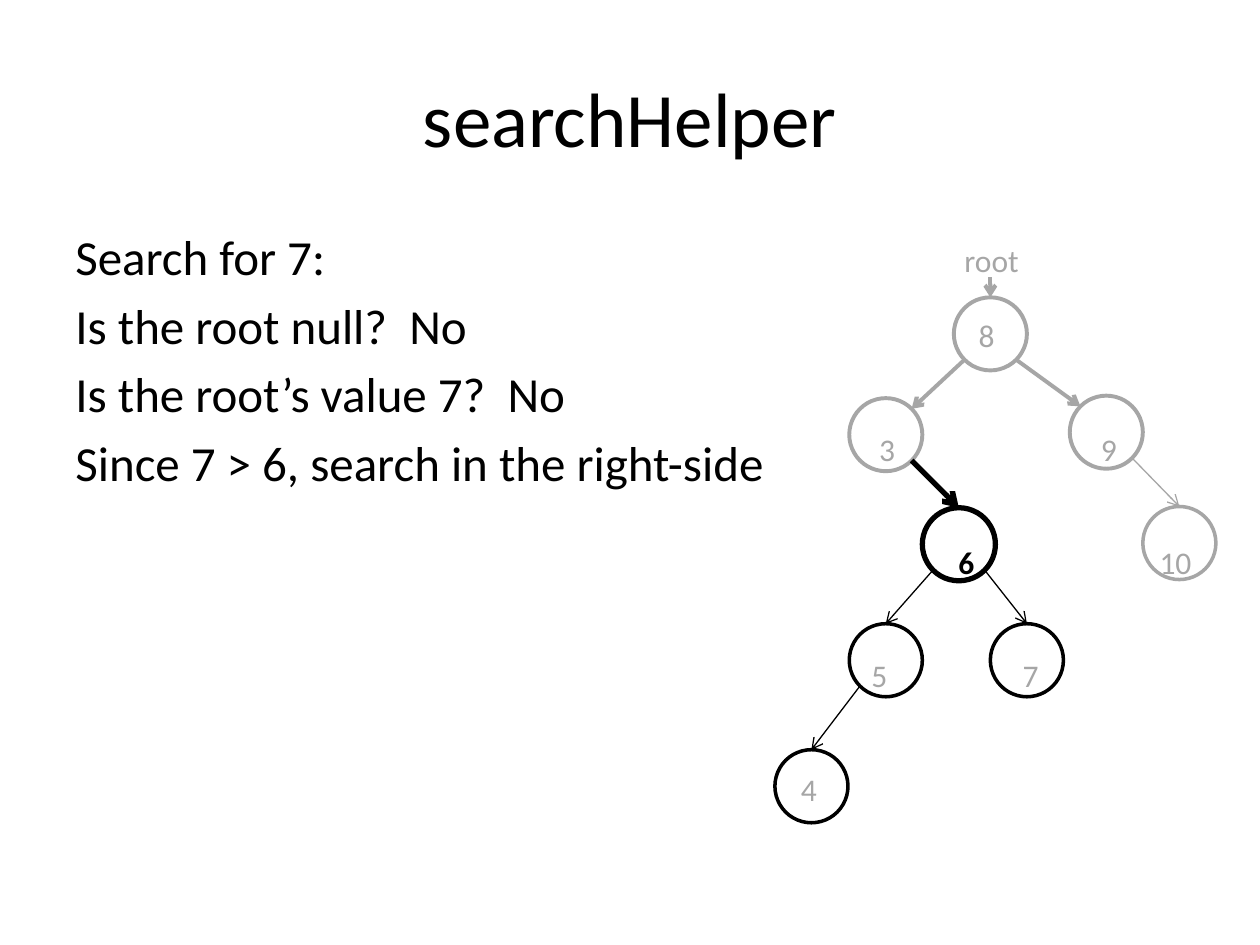
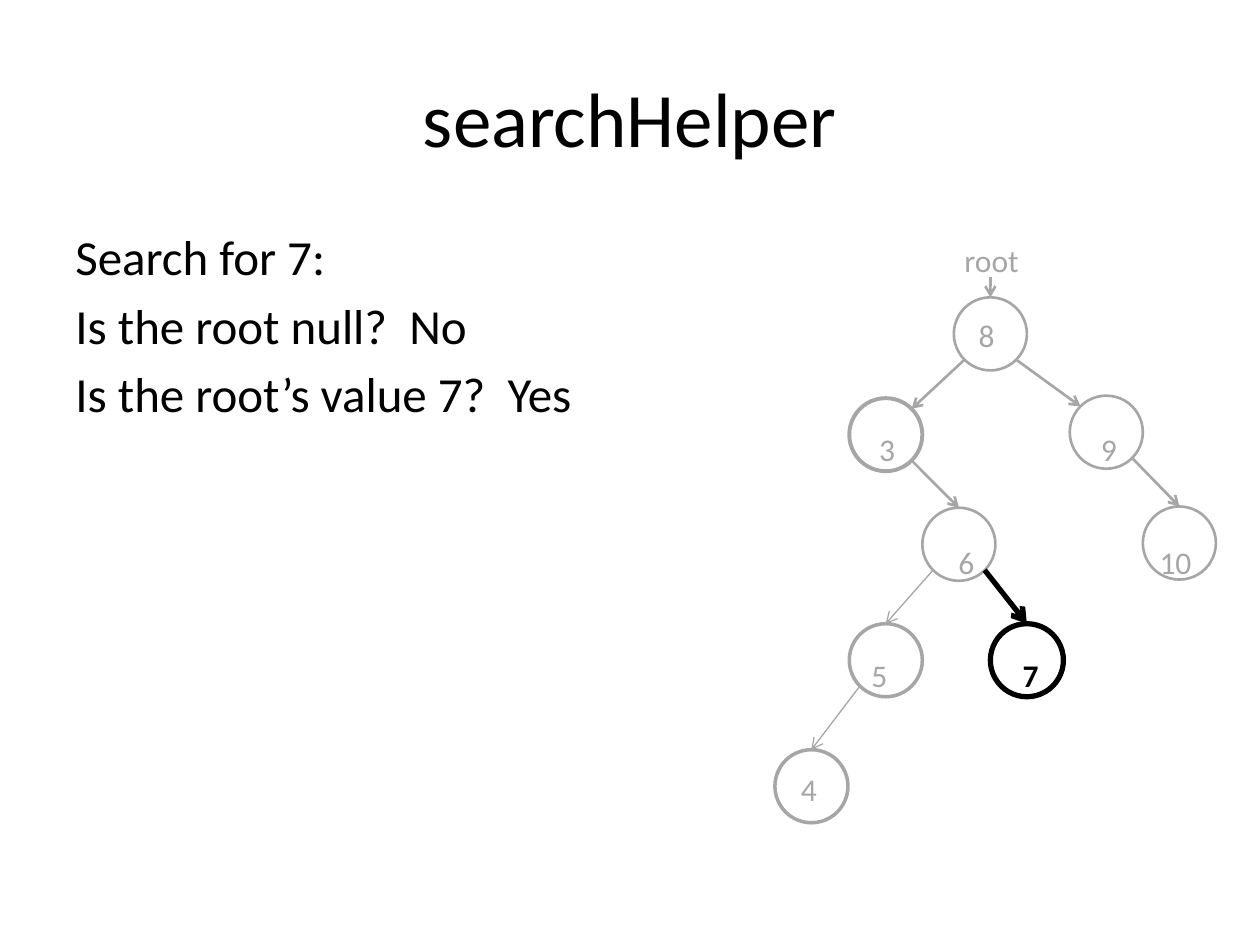
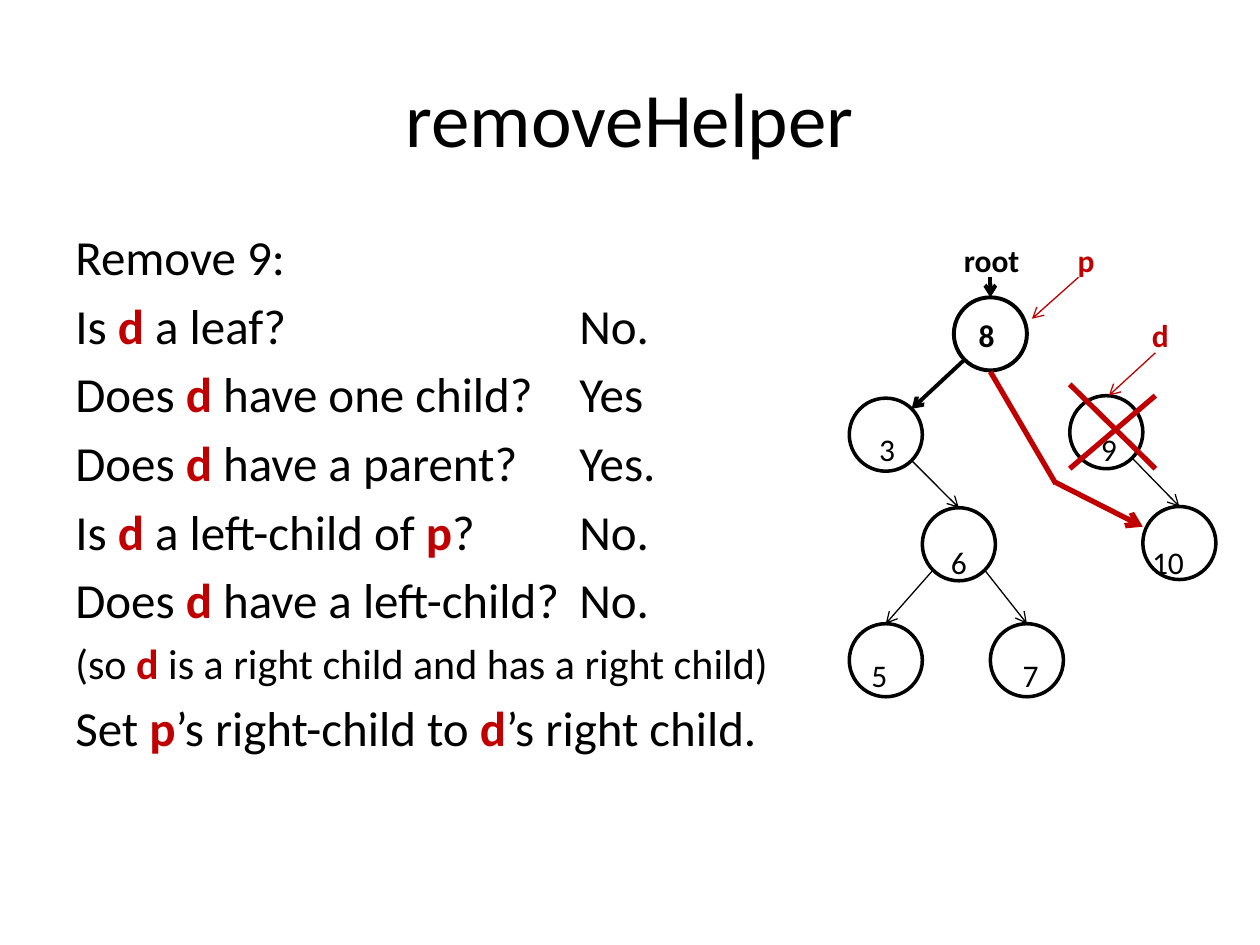
import dataclasses
import math

import lxml.etree
import pptx
import pptx.dml.color
import pptx.enum.shapes
import pptx.enum.text
import pptx.oxml.ns
import pptx.util

Inches, Pt = pptx.util.Inches, pptx.util.Pt
Color = pptx.dml.color.RGBColor.from_string
Align = pptx.enum.text.PP_ALIGN
Anchor = pptx.enum.text.MSO_ANCHOR
qn = pptx.oxml.ns.qn


@dataclasses.dataclass(frozen=True)
class Theme:
    font: str = "Calibri"
    black: str = "000000"
    gray: str = "A6A6A6"
    red: str = "C00000"
    title: int = 44
    body: int = 28
    small: int = 24
    label: int = 18


theme = Theme()


def write(slide, box, lines, size, color=theme.black, bold=False, align=Align.CENTER,
          anchor=Anchor.MIDDLE, inset=0.0, gap=0.0, tab=None):
    """Add a text box; words between asterisks turn bold red, "(" lines are small."""
    frame = slide.shapes.add_textbox(*map(Inches, box)).text_frame
    frame.word_wrap = True
    frame.vertical_anchor = anchor
    frame.margin_left = frame.margin_right = Inches(inset)
    frame.margin_top = frame.margin_bottom = Inches(inset / 2)
    for num, line in enumerate(lines):
        para = frame.paragraphs[0] if num == 0 else frame.add_paragraph()
        points = theme.small if line.startswith("(") else size
        para.alignment = align
        para.space_before = Pt(points * gap)
        para.font.name = theme.font
        para.font.size = Pt(points)
        para.font.bold = bold
        para.font.color.rgb = Color(color)
        if tab and "\t" in line:
            props = para._p.get_or_add_pPr()
            stops = lxml.etree.Element(qn("a:tabLst"))
            lxml.etree.SubElement(stops, qn("a:tab"), pos=str(Inches(tab)), algn="l")
            props.find(qn("a:defRPr")).addprevious(stops)
        for part, words in enumerate(line.split("*")):
            if words:
                run = para.add_run()
                run.text = words
                if part % 2:
                    run.font.bold = True
                    run.font.color.rgb = Color(theme.red)


def link(slide, start, end, color, width, arrow=True):
    line = slide.shapes.add_connector(pptx.enum.shapes.MSO_CONNECTOR.STRAIGHT,
                                      *map(Inches, (*start, *end)))
    line.line.color.rgb = Color(color)
    line.line.width = Pt(width)
    if arrow:
        lxml.etree.SubElement(line.line._get_or_add_ln(), qn("a:tailEnd"), type="arrow")
    lxml.etree.SubElement(line._element.spPr, qn("a:effectLst"))


# Each node: left and top of its circle, middle of its label, text row, parent
ring = 0.58
nodes = {
    "8": (7.57, 2.36, 7.83, 2, None),
    "3": (6.74, 3.16, 7.04, 5, "8"),
    "9": (8.49, 3.14, 8.8, 5, "8"),
    "6": (7.32, 4.03, 7.67, 8, "3"),
    "5": (6.74, 4.95, 6.98, 11, "6"),
    "7": (7.86, 4.95, 8.18, 11, "6"),
    "10": (9.07, 4.02, 9.33, 8, "9"),
    "4": (6.15, 5.95, 6.42, 14, "5"),
}
mid = {key: (node[0] + ring / 2, node[1] + ring / 2) for key, node in nodes.items()}
half = ring / 2
slant = half * math.sqrt(0.5)
first, pitch = 2.06, 0.3

# Each pen: colour, circle width, width of the arrow into the node (0 for none)
dim, thin = (theme.gray, 2.25, 2.25), (theme.black, 2, 0.75)
fine, bold = (theme.gray, 1.5, 1.5), (theme.black, 3, 3)
pale = (theme.gray, 2, 0.75)

search = ["Search for 7:", "Is the root null?  No"]
steps = [
    dict(title="searchHelper", ink=theme.gray, focus="6", shift=0,
         lines=search + ["Is the root’s value 7?  No",
                         "Since 7 > 6, search in the right-side"],
         pens={"8": dim, "3": dim, "9": dim, "6": bold, "5": thin, "7": thin,
               "10": pale, "4": thin}),
    dict(title="searchHelper", ink=theme.gray, focus="7", shift=0,
         lines=search + ["Is the root’s value 7?  Yes"],
         pens={"8": fine, "3": (theme.gray, 2.25, 1.5), "9": fine, "6": fine,
               "5": pale, "7": bold, "10": fine, "4": pale}),
    dict(title="removeHelper", ink=theme.black, focus="8", shift=-0.06,
         lines=["Remove 9:",
                "Is *d* a leaf?\tNo.",
                "Does *d* have one child?\tYes",
                "Does *d* have a parent?\tYes.",
                "Is *d* a left-child of *p*?\tNo.",
                "Does *d* have a left-child?\tNo.",
                "(so *d* is a right child and has a right child)",
                "Set *p*’s right-child to *d*’s right child."],
         pens={"8": (theme.black, 2.25, 2.25), "3": (theme.black, 2, 2.25),
               "9": (theme.black, 2, 0), "6": thin, "5": thin, "7": thin,
               "10": thin}),
]

deck = pptx.Presentation()
deck.slide_width, deck.slide_height = Inches(10), Inches(7.5)

for step in steps:
    slide = deck.slides.add_slide(deck.slide_layouts[6])
    write(slide, (0.5, 0.3, 9, 1.25), [step["title"]], theme.title, inset=0.1)
    write(slide, (0.5, 1.75, 5.94, 5), step["lines"], theme.body, align=Align.LEFT,
          anchor=Anchor.TOP, inset=0.1, gap=0.2, tab=4)

    labels = [("root", 7.87, 0, step["ink"], step["focus"] == "8")]
    for key, (color, width, edge) in step["pens"].items():
        left, top, place, row, parent = nodes[key]
        oval = slide.shapes.add_shape(pptx.enum.shapes.MSO_SHAPE.OVAL,
                                      *map(Inches, (left, top, ring, ring)))
        oval.shadow.inherit = False
        oval.fill.background()
        oval.line.color.rgb = Color(color)
        oval.line.width = Pt(width)

        x, y = mid[key]
        start, end = (x, 2.2), (x, top)
        if parent:
            from_x, from_y = mid[parent]
            side = math.copysign(slant, x - from_x)
            start = (from_x + side, from_y + slant)
            if parent == "8":
                end = (x - side, y - slant)
        if edge:
            link(slide, start, end, color, edge)

        focus = key == step["focus"]
        place += step["shift"] if row == 8 else 0
        labels.append((key, place, row, theme.black if focus else step["ink"], focus))

    if step["title"] == "removeHelper":
        labels += [("p", 8.62, 0, theme.red, True), ("d", 9.21, 2, theme.red, True)]
    for text, place, row, color, strong in labels:
        write(slide, (place - 0.3, first + pitch * (row - 0.5), 0.6, pitch), [text],
              theme.label, color, strong)

# Pointers p and d, the cross over 9, and the new path from 8 to 10
for start, end, width, arrow in [
    ((9.17, 2.8), (8.8, 3.14), 0.75, True),
    ((8.56, 2.2), (8.19, 2.53), 0.75, True),
    ((8.49, 3.05), (9.17, 3.72), 3, False),
    ((9.17, 3.14), (8.49, 3.72), 3, False),
    ((7.86, 2.95), (8.38, 3.84), 3, False),
    ((8.38, 3.83), (9.07, 4.18), 3, True),
]:
    link(slide, start, end, theme.red, width, arrow)

deck.save("out.pptx")
